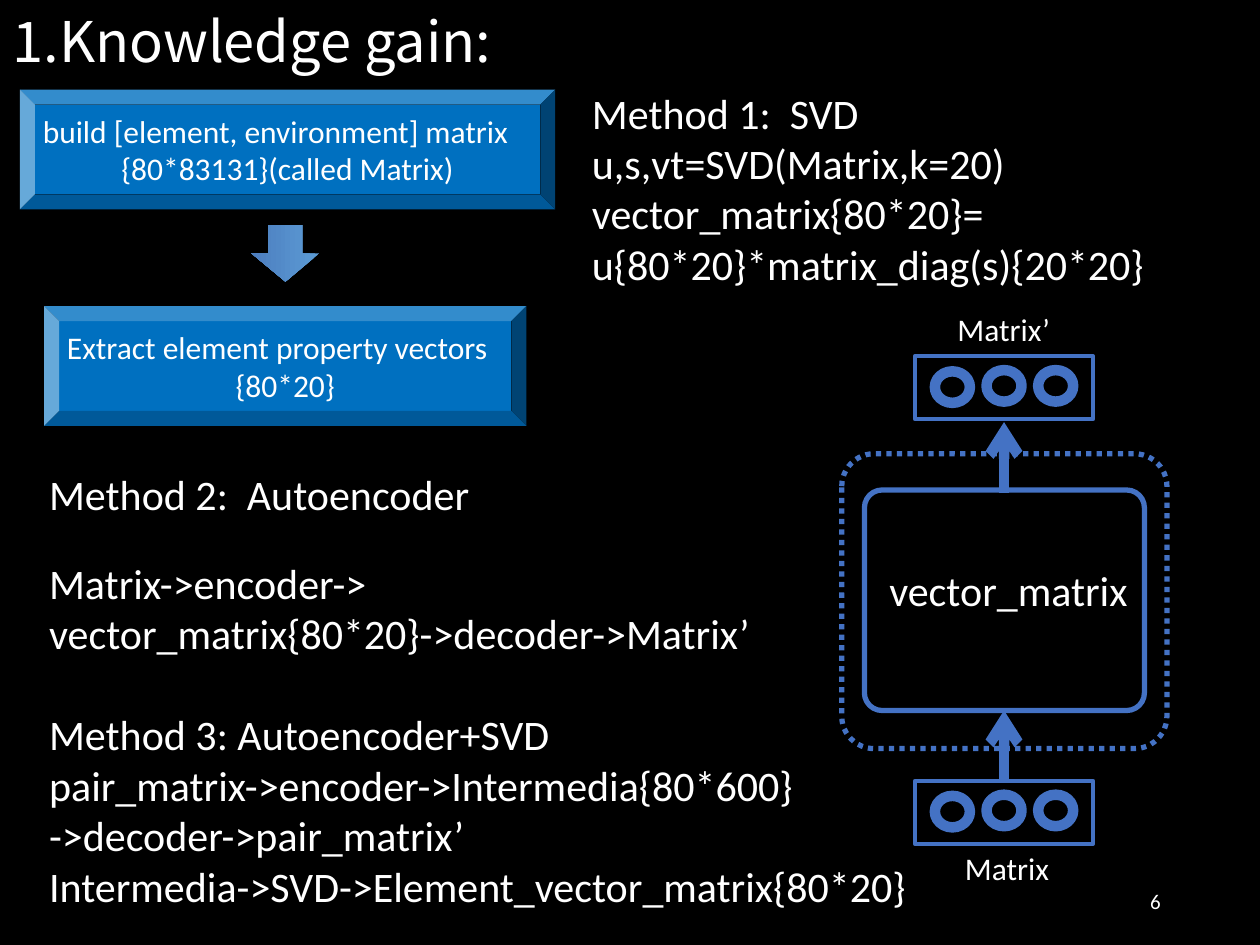
import pptx
import pptx.util
import pptx.dml.color
import pptx.enum.dml
import pptx.enum.shapes
import pptx.enum.text
import pptx.oxml
import pptx.oxml.ns

Pt = pptx.util.Pt
SHAPE = pptx.enum.shapes.MSO_SHAPE
ALIGN = pptx.enum.text.PP_ALIGN
ANCHOR = pptx.enum.text.MSO_ANCHOR
WHITE, BLUE, BOX_BLUE = "FFFFFF", "4472C4", "0070C0"
CENTER_X = 573.75


def color(value):
    return pptx.dml.color.RGBColor.from_string(value)


def write(tf, lines, size, aligns, gaps=None, font="Calibri"):
    for i, line in enumerate(lines):
        p = tf.paragraphs[0] if i == 0 else tf.add_paragraph()
        p.text = line
        p.alignment = aligns[i] if isinstance(aligns, list) else aligns
        p.font.size = Pt(size)
        p.font.name = font
        p.font.color.rgb = color(WHITE)
        if gaps and i in gaps:
            p.space_before = Pt(gaps[i])


def add_text(s, box, lines, size, align=ALIGN.LEFT, gaps=None, font="Calibri",
             wrap=True, anchor=ANCHOR.TOP):
    tf = s.shapes.add_textbox(*map(Pt, box)).text_frame
    tf.word_wrap = wrap
    tf.vertical_anchor = anchor
    write(tf, lines, size, align, gaps, font)


def add_bevel(s, box, lines):
    sp = s.shapes.add_shape(SHAPE.BEVEL, *map(Pt, box))
    sp.shadow.inherit = False
    sp.fill.solid()
    sp.fill.fore_color.rgb = color(BOX_BLUE)
    sp.line.fill.background()
    tf = sp.text_frame
    tf.word_wrap = True
    tf.vertical_anchor = ANCHOR.MIDDLE
    tf.margin_left = tf.margin_right = tf.margin_top = tf.margin_bottom = Pt(4.5)
    write(tf, lines, 18, [ALIGN.LEFT, ALIGN.CENTER])


def add_block_arrow(s, box):
    sp = s.shapes.add_shape(SHAPE.RIGHT_ARROW, *map(Pt, box))
    sp.shadow.inherit = False
    sp.rotation = 90
    sp.line.fill.background()
    sp.fill.gradient()
    sp.fill.gradient_angle = 270
    for stop, value in zip(sp.fill.gradient_stops, ("5B9BD5", "4D7EBF")):
        stop.color.rgb = color(value)


def add_outline(s, kind, box, width, radius=None, dash=None):
    sp = s.shapes.add_shape(kind, *map(Pt, box))
    sp.shadow.inherit = False
    sp.fill.background()
    sp.line.color.rgb = color(BLUE)
    sp.line.width = Pt(width)
    if radius:
        sp.adjustments[0] = radius
    if dash:
        sp.line.dash_style = dash


def add_layer(s, top):
    for offset, drop in ((-29.5, 8.6), (0, 7.9), (29.5, 7.9)):
        add_outline(s, SHAPE.OVAL, (CENTER_X + offset - 10, top + drop, 20, 18), 6)
    add_outline(s, SHAPE.RECTANGLE, (CENTER_X - 51, top, 102, 36), 2.25)


def add_arrow(s, start, end):
    cx = s.shapes.add_connector(pptx.enum.shapes.MSO_CONNECTOR.STRAIGHT,
                                Pt(CENTER_X), Pt(start), Pt(CENTER_X), Pt(end))
    cx.line.color.rgb = color(BLUE)
    cx.line.width = Pt(6)
    ns = pptx.oxml.ns.nsdecls("a")
    ln = cx.line._get_or_add_ln()
    ln.append(pptx.oxml.parse_xml(f'<a:tailEnd {ns} type="arrow"/>'))
    cx._element.spPr.append(pptx.oxml.parse_xml(f"<a:effectLst {ns}/>"))


def add_autoencoder(s):
    add_outline(s, SHAPE.ROUNDED_RECTANGLE, (494, 280, 160, 126), 3, 0.08)
    add_outline(s, SHAPE.ROUNDED_RECTANGLE, (481, 259.3, 185.8, 168.5), 3, 0.11,
                pptx.enum.dml.MSO_LINE.ROUND_DOT)
    add_arrow(s, 446.4, 406)
    add_layer(s, 446.2)
    add_layer(s, 203.6)
    add_text(s, (501.1, 319, 151.2, 36), ["vector_matrix"], 24)
    add_arrow(s, 281.5, 241.2)
    add_text(s, (544.3, 481.8, 62.6, 28.8), ["Matrix"], 18, wrap=False)
    add_text(s, (540, 173.5, 67.7, 28.8), ["Matrix’"], 18, wrap=False)


def main():
    prs = pptx.Presentation()
    prs.slide_width, prs.slide_height = Pt(720), Pt(540)
    s = prs.slides.add_slide(prs.slide_layouts[6])
    s.background.fill.solid()
    s.background.fill.fore_color.rgb = color("000000")

    add_text(s, (508.3, 500.4, 162, 28.8), ["6"], 12, ALIGN.RIGHT,
             anchor=ANCHOR.MIDDLE)
    add_bevel(s, (25.2, 174.9, 275.6, 68.4),
              ["Extract element property vectors", "{80*20}"])
    add_bevel(s, (11.4, 51.2, 305.9, 68.4),
              ["build [element, environment] matrix", "{80*83131}(called Matrix)"])
    add_block_arrow(s, (146.9, 125.3, 32.4, 38.9))
    add_text(s, (0, 0, 298.8, 46), ["1.Knowledge gain:"], 32,
             font="Noto Sans CJK SC", wrap=False)
    add_text(s, (331.2, 46.2, 427, 189.4),
             ["Method 1:  SVD", "u,s,vt=SVD(Matrix,k=20)", "vector_matrix{80*20}=",
              "u{80*20}*matrix_diag(s){20*20}"], 24)
    add_text(s, (21, 264.2, 509, 305.3),
             ["Method 2:  Autoencoder", "Matrix->encoder->",
              "vector_matrix{80*20}->decoder->Matrix’", "Method 3: Autoencoder+SVD",
              "pair_matrix->encoder->Intermedia{80*600}", "->decoder->pair_matrix’",
              "Intermedia->SVD->Element_vector_matrix{80*20}"], 24,
             [ALIGN.JUSTIFY] * 4 + [ALIGN.LEFT] * 3, gaps={1: 22, 3: 29})
    add_autoencoder(s)
    prs.save("out.pptx")


if __name__ == "__main__":
    main()
